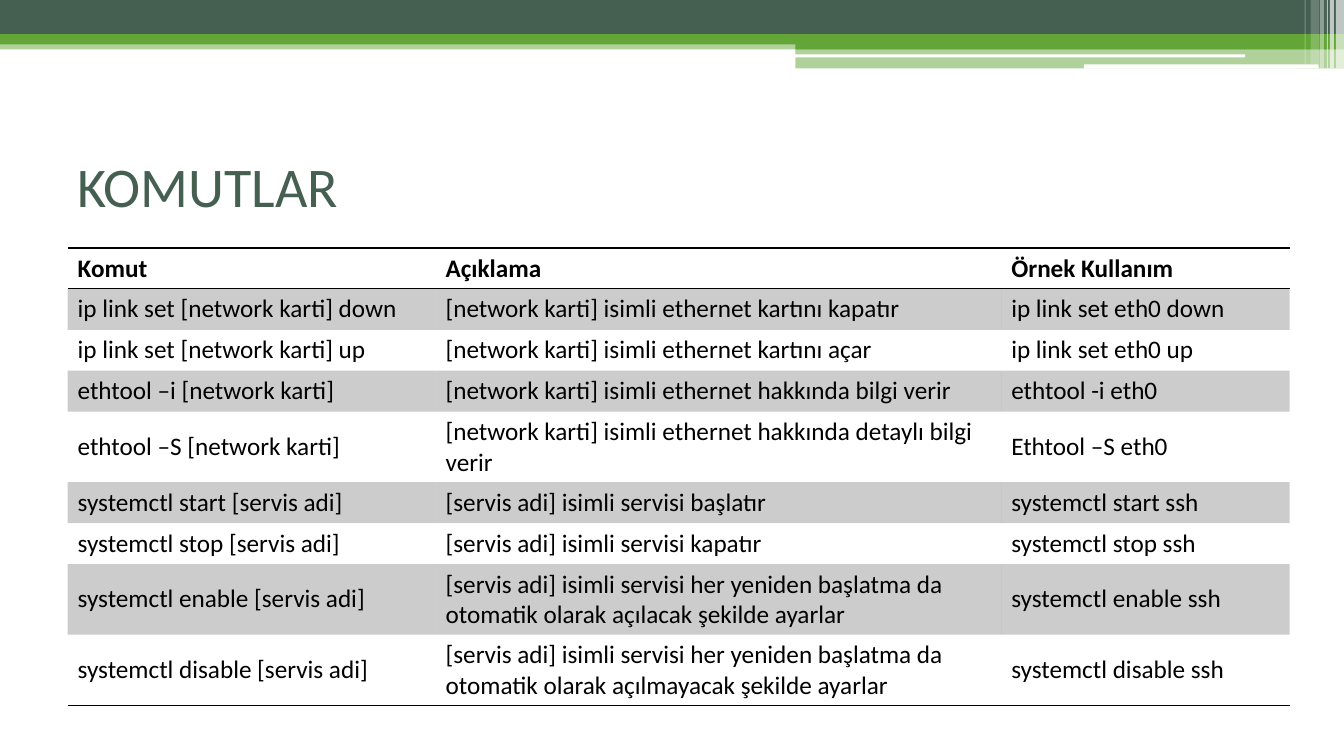
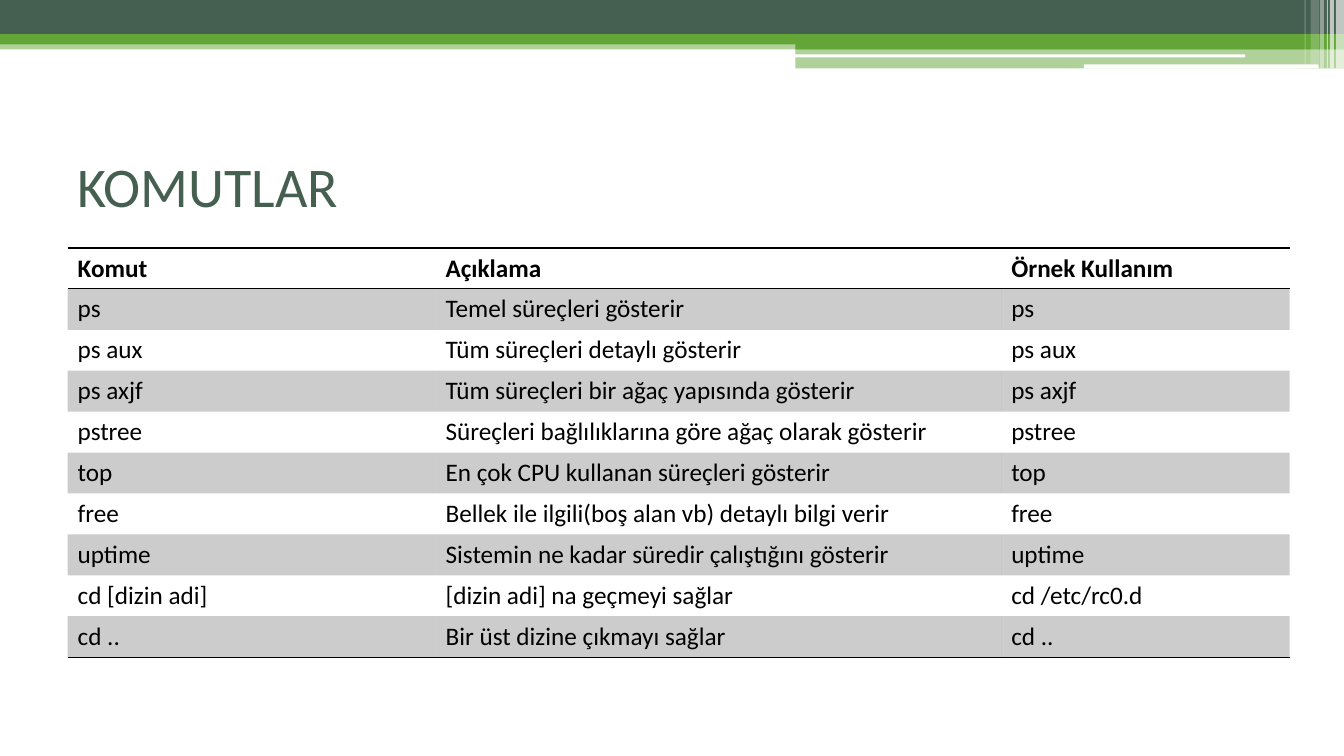
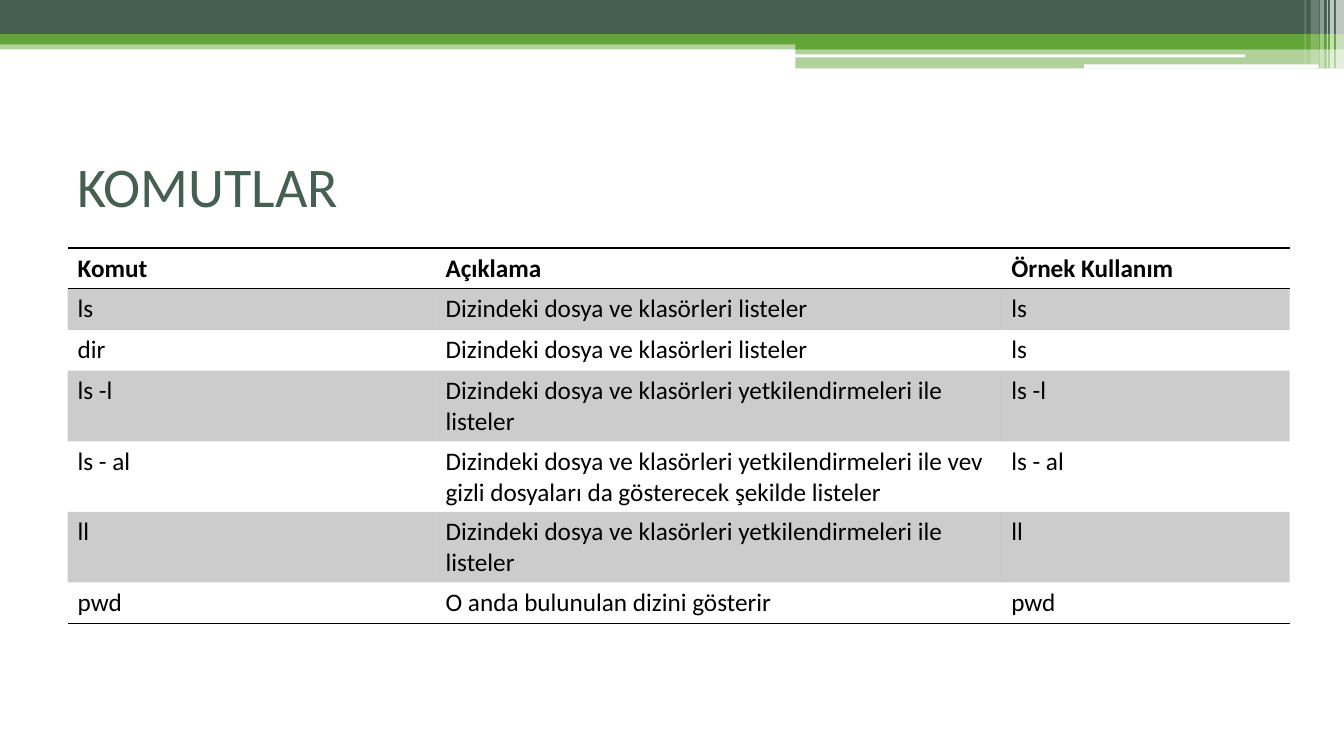
from lxml.etree import SubElement
from pptx import Presentation
from pptx.dml.color import RGBColor
from pptx.enum.shapes import MSO_SHAPE as SHAPE
from pptx.enum.text import MSO_ANCHOR as ANCHOR
from pptx.oxml import parse_xml
from pptx.oxml.ns import nsdecls, qn
from pptx.util import Inches, Pt

FONT = "Calibri"
DARK, GREEN, WHITE, BLACK = "455F51", "63A537", "FFFFFF", "000000"
NO_STYLE = "{2D5ABB26-0587-4C30-8999-92F81FD0307C}"
ROW_HEIGHT = Inches(4.06) // 10
COLUMN_WIDTHS = [3.65, 5.61, 2.86]
HEADINGS = ("Komut", "Açıklama", "Örnek Kullanım")

# left, top, width, height, colour, opacity in percent
BANDS = [
    (0, 0.4, 13.33, 0.09, GREEN, 50),
    (0, 0, 13.33, 0.34, DARK, 100),
    (0, 0.34, 13.33, 0.1, GREEN, 100),
    (7.89, 0.39, 5.44, 0.1, GREEN, 100),
    (7.89, 0.48, 5.44, 0.2, GREEN, 50),
]
ROUNDED_LINES = [
    (7.88, 0.54, 4.47, 0.03, WHITE, 100),
    (10.75, 0.64, 2.33, 0.04, WHITE, 100),
]
CORNER_STRIPES = [
    (13.25, 0, 0.08, 0.68, WHITE, 65),
    (13.19, 0, 0.04, 0.68, WHITE, 65),
    (13.16, 0, 0.01, 0.68, WHITE, 60),
    (13.09, 0, 0.04, 0.68, WHITE, 40),
    (13, 0, 0.08, 0.64, WHITE, 20),
    (12.94, 0, 0.01, 0.64, WHITE, 30),
]
HEADER = (
    [(SHAPE.RECTANGLE, *band) for band in BANDS]
    + [(SHAPE.ROUNDED_RECTANGLE, *line) for line in ROUNDED_LINES]
    + [(SHAPE.RECTANGLE, *stripe) for stripe in CORNER_STRIPES]
)

# anchor of the command and example columns, then the rows
COMMAND_TABLES = [
    (ANCHOR.MIDDLE, [
        ("ip link set [network karti] down", "[network karti] isimli ethernet kartını kapatır",
         "ip link set eth0 down"),
        ("ip link set [network karti] up", "[network karti] isimli ethernet kartını açar",
         "ip link set eth0 up"),
        ("ethtool –i [network karti]", "[network karti] isimli ethernet hakkında bilgi verir",
         "ethtool -i eth0"),
        ("ethtool –S [network karti]",
         "[network karti] isimli ethernet hakkında detaylı bilgi verir", "Ethtool –S eth0"),
        ("systemctl start [servis adi]", "[servis adi] isimli servisi başlatır",
         "systemctl start ssh"),
        ("systemctl stop [servis adi]", "[servis adi] isimli servisi kapatır",
         "systemctl stop ssh"),
        ("systemctl enable [servis adi]",
         "[servis adi] isimli servisi her yeniden başlatma da otomatik olarak "
         "açılacak şekilde ayarlar", "systemctl enable ssh"),
        ("systemctl disable [servis adi]",
         "[servis adi] isimli servisi her yeniden başlatma da otomatik olarak "
         "açılmayacak şekilde ayarlar", "systemctl disable ssh"),
    ]),
    (ANCHOR.TOP, [
        ("ps", "Temel süreçleri gösterir", "ps"),
        ("ps aux", "Tüm süreçleri detaylı gösterir", "ps aux"),
        ("ps axjf", "Tüm süreçleri bir ağaç yapısında gösterir", "ps axjf"),
        ("pstree", "Süreçleri bağlılıklarına göre ağaç olarak gösterir", "pstree"),
        ("top", "En çok CPU kullanan süreçleri gösterir", "top"),
        ("free", "Bellek ile ilgili(boş alan vb) detaylı bilgi verir", "free"),
        ("uptime", "Sistemin ne kadar süredir çalıştığını gösterir", "uptime"),
        ("cd [dizin adi]", "[dizin adi] na geçmeyi sağlar", "cd /etc/rc0.d"),
        ("cd ..", "Bir üst dizine çıkmayı sağlar", "cd .."),
    ]),
    (ANCHOR.TOP, [
        ("ls", "Dizindeki dosya ve klasörleri listeler", "ls"),
        ("dir", "Dizindeki dosya ve klasörleri listeler", "ls"),
        ("ls -l", "Dizindeki dosya ve klasörleri yetkilendirmeleri ile listeler", "ls -l"),
        ("ls - al",
         "Dizindeki dosya ve klasörleri yetkilendirmeleri ile vev gizli dosyaları da "
         "gösterecek şekilde listeler", "ls - al"),
        ("ll", "Dizindeki dosya ve klasörleri yetkilendirmeleri ile listeler", "ll"),
        ("pwd", "O anda bulunulan dizini gösterir", "pwd"),
    ]),
]


def paint(fill, colour, opacity=100):
    fill.solid()
    fill.fore_color.rgb = RGBColor.from_string(colour)
    if opacity < 100:
        colour_xml = fill._xPr.find(qn("a:solidFill"))[0]
        SubElement(colour_xml, qn("a:alpha"), val=str(opacity * 1000))


def style_text(frame, size, colour, bold=False):
    font = frame.paragraphs[0].runs[0].font
    font.name, font.size, font.bold = FONT, Pt(size), bold
    font.color.rgb = RGBColor.from_string(colour)


deck = Presentation()
deck.slide_width, deck.slide_height = Inches(13.33), Inches(7.5)

for anchor, commands in COMMAND_TABLES:
    slide = deck.slides.add_slide(deck.slide_layouts[6])

    for outline, left, top, width, height, colour, opacity in HEADER:
        band = slide.shapes.add_shape(
            outline, Inches(left), Inches(top), Inches(width), Inches(height))
        band.shadow.inherit = False
        band.line.fill.background()
        paint(band.fill, colour, opacity)

    title = slide.shapes.add_textbox(
        Inches(0.67), Inches(1.25), Inches(12), Inches(1.17)).text_frame
    title.word_wrap = True
    title.vertical_anchor = ANCHOR.MIDDLE
    title.text = "KOMUTLAR"
    style_text(title, 40, DARK)

    rows = [HEADINGS, *commands]
    table = slide.shapes.add_table(
        len(rows), len(HEADINGS), Inches(0.67), Inches(2.46),
        Inches(sum(COLUMN_WIDTHS)), ROW_HEIGHT * len(rows)).table
    table.horz_banding = False
    table._tbl.tblPr.find(qn("a:tableStyleId")).text = NO_STYLE
    for column, width in zip(table.columns, COLUMN_WIDTHS):
        column.width = Inches(width)

    for r, row in enumerate(rows):
        ruled_sides = {0: ["lnT", "lnB"], len(rows) - 1: ["lnB"]}.get(r, [])
        for c, text in enumerate(row):
            cell = table.cell(r, c)
            cell.text = text
            style_text(cell.text_frame, 18, BLACK, bold=r == 0)
            cell.vertical_anchor = ANCHOR.TOP if c == 1 else anchor
            if r % 2:
                paint(cell.fill, BLACK, 20)
            else:
                cell.fill.background()
            for position, side in enumerate(ruled_sides):
                cell._tc.tcPr.insert(position, parse_xml(
                    f'<a:{side} {nsdecls("a")} w="{Pt(1)}"><a:solidFill>'
                    f'<a:srgbClr val="{BLACK}"/></a:solidFill></a:{side}>'))

deck.save("out.pptx")
